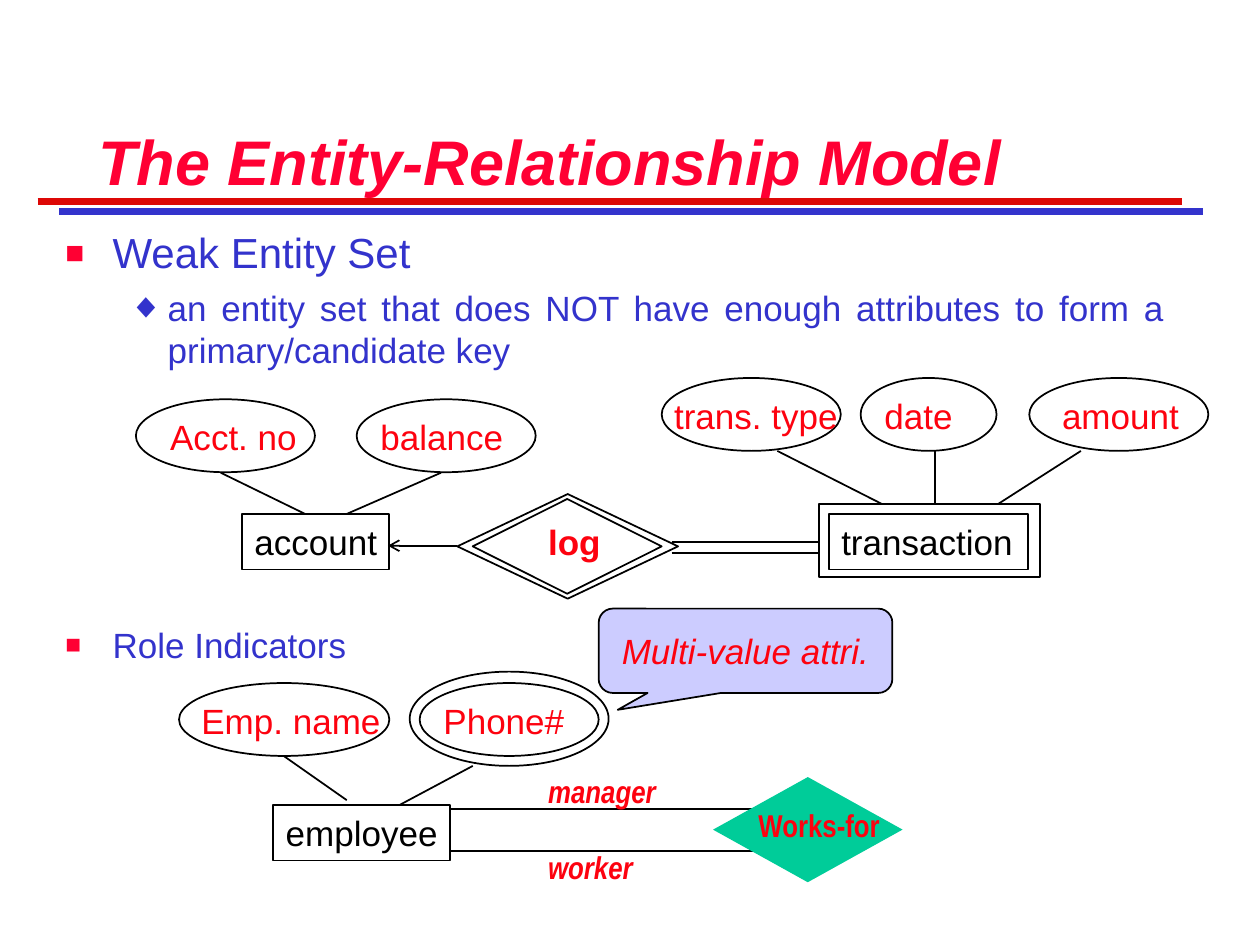
"""Build the slide on weak entity sets and role indicators."""
from dataclasses import dataclass

from lxml import etree
from pptx import Presentation
from pptx.dml.color import RGBColor
from pptx.enum.shapes import MSO_CONNECTOR, MSO_SHAPE
from pptx.enum.text import MSO_ANCHOR, PP_ALIGN
from pptx.oxml.ns import qn
from pptx.util import Cm, Pt

LINE = MSO_CONNECTOR.STRAIGHT
RECT, OVAL, DIAMOND = MSO_SHAPE.RECTANGLE, MSO_SHAPE.OVAL, MSO_SHAPE.DIAMOND
TRIANGLE = MSO_SHAPE.ISOSCELES_TRIANGLE
BUBBLE = MSO_SHAPE.ROUNDED_RECTANGULAR_CALLOUT
TOP, MIDDLE, BOTTOM = MSO_ANCHOR.TOP, MSO_ANCHOR.MIDDLE, MSO_ANCHOR.BOTTOM
LEFT, CENTER, JUSTIFY = PP_ALIGN.LEFT, PP_ALIGN.CENTER, PP_ALIGN.JUSTIFY


@dataclass(frozen=True)
class Theme:
    red: str = "FF0033"
    blue: str = "3333CC"
    rule: str = "DD0806"
    label: str = "FD020F"
    ink: str = "000000"
    green: str = "00CC99"
    pale: str = "CCCCFF"
    font: str = "Arial"
    narrow: str = "Arial Narrow"
    title: int = 36
    head: int = 24
    text: int = 20
    role: int = 18


T = Theme()
ROW, BOX = 1.47, 1.12

TITLE = "The Entity-Relationship Model"
RULES = [(0.76, 4.06, T.rule), (1.19, 4.27, T.blue)]
POINTS = [
    ("Weak Entity Set", T.head, 0, 0.95, 0.95, "■", T.red, 75),
    ("an entity set that does NOT have enough attributes to form a "
     "primary/candidate key", T.text, 5, 2.06, 0.79, "◆", T.blue, 100),
    ("Role Indicators", T.text, 145, 0.95, 0.95, "■", T.red, 75),
]
ENTITIES = [
    ("account", 4.88, 10.36, 2.97),
    ("transaction", 16.71, 10.36, 4.01),
    ("employee", 5.51, 16.23, 3.56),
]
ATTRS = [
    ("Acct. no", 2.74, 8.05, 3.61, 0.44),
    ("balance", 7.19, 8.05, 3.61, 0.23),
    ("trans. type", 13.34, 7.62, 3.61, 0),
    ("date", 17.35, 7.62, 2.74, 0.23),
    ("amount", 20.75, 7.62, 3.61, 0.41),
    ("Emp. name", 3.61, 13.77, 4.24, 0.2),
    ("Phone#", 8.46, 13.77, 3.61, 0.23),
]
OUTLINES = [
    (RECT, 16.51, 10.16, 4.45, ROW),
    (OVAL, 8.26, 13.54, 4.01, 1.9),
    (DIAMOND, 9.22, 9.96, 4.45, 2.11),
    (DIAMOND, 9.53, 10.06, 3.81, 1.91),
]
HALVES = [(14.27, 270), (16.18, 90)]
LINKS = [
    (4.45, 9.53, 6.15, 10.36),
    (6.99, 10.36, 8.89, 9.53),
    (15.67, 9.09, 17.78, 10.16),
    (18.85, 9.09, 18.85, 10.16),
    (20.12, 10.16, 21.79, 9.09),
    (13.54, 10.92, 16.51, 10.92),
    (13.54, 11.15, 16.51, 11.15),
    (5.72, 15.24, 6.99, 16.13),
    (8.05, 16.23, 9.53, 15.44),
    (9.09, 16.31, 15.24, 16.31),
    (9.09, 17.15, 15.67, 17.15),
]
ARROW = (9.22, 11, 7.82, 11)
NAMES = [
    ("log", 10.8, 10.36, 1.7, T.text, T.font, False),
    ("Works-for", 15.04, 16.13, 3.18, T.role, T.narrow, False),
    ("manager", 10.8, 15.44, 3.38, T.role, T.narrow, True),
    ("worker", 10.8, 16.97, 3.38, T.role, T.narrow, True),
]
NOTE = "Multi-value attri."


def rgb(code):
    return RGBColor.from_string(code)


def style(par, size, color, font=T.font, bold=False, italic=False):
    for run in par.runs:
        face = run.font
        face.name, face.size, face.color.rgb = font, Pt(size), rgb(color)
        face.bold, face.italic = bold, italic


def write(shape, words, size, color, align=LEFT, anchor=TOP, wrap=True, **look):
    frame = shape.text_frame
    frame.text = words
    frame.word_wrap, frame.vertical_anchor = wrap, anchor
    par = frame.paragraphs[0]
    par.alignment = align
    style(par, size, color, **look)


def link(slide, ends, color=T.ink, width=1):
    line = slide.shapes.add_connector(LINE, *map(Cm, ends))
    line.line.color.rgb, line.line.width = rgb(color), Pt(width)
    etree.SubElement(line._element.spPr, qn("a:effectLst"))
    return line


def draw(slide, kind, *area, fill=None, edge=T.ink):
    shape = slide.shapes.add_shape(kind, *map(Cm, area))
    shape.shadow.inherit = False
    if fill:
        shape.fill.solid()
        shape.fill.fore_color.rgb = rgb(fill)
    else:
        shape.fill.background()
    if edge:
        shape.line.color.rgb, shape.line.width = rgb(edge), Pt(1)
    else:
        shape.line.fill.background()
    return shape


def label(slide, words, left, top, width, size=T.text, **look):
    box = slide.shapes.add_textbox(Cm(left), Cm(top), Cm(width), Cm(BOX))
    write(box, words, size, T.label, **look)


def bullet(par, left, hang, mark, color, scale):
    props = par._p.get_or_add_pPr()
    props.set("marL", str(Cm(left)))
    props.set("indent", str(-Cm(hang)))
    tint = etree.SubElement(props, qn("a:buClr"))
    etree.SubElement(tint, qn("a:srgbClr"), val=color)
    etree.SubElement(props, qn("a:buSzPct"), val=str(scale * 1000))
    etree.SubElement(props, qn("a:buFont"), typeface=T.font)
    etree.SubElement(props, qn("a:buChar"), char=mark)


def outline(slide):
    title = slide.shapes.title
    title.left, title.top, title.width, title.height = map(
        Cm, (1.73, 0.46, 23.29, 3.66))
    write(title, TITLE, T.title, T.red, anchor=BOTTOM, bold=True, italic=True)
    body = slide.shapes.add_textbox(Cm(1.07), Cm(4.45), Cm(22.66), Cm(12.83))
    frame = body.text_frame
    frame.word_wrap = True
    frame.text = "\n".join(point[0] for point in POINTS)
    for par, (_, size, gap, *marks) in zip(frame.paragraphs, POINTS):
        par.alignment, par.space_before = JUSTIFY, Pt(gap)
        style(par, size, T.blue)
        bullet(par, *marks)


def diagram(slide):
    for ends in LINKS:
        link(slide, ends)
    arrow = link(slide, ARROW)
    etree.SubElement(arrow.line._get_or_add_ln(), qn("a:tailEnd"), type="arrow")
    for words, left, top, width in ENTITIES:
        box = draw(slide, RECT, left, top, width, BOX)
        write(box, words, T.text, T.ink, wrap=False)
    for words, left, top, width, shift in ATTRS:
        draw(slide, OVAL, left, top, width, ROW)
        label(slide, words, left + shift, top + 0.2, max(width, 3.9))
    for kind, *area in OUTLINES:
        draw(slide, kind, *area)
    for left, turn in HALVES:
        half = draw(slide, TRIANGLE, left, 15.77, 2.12, 1.91,
                    fill=T.green, edge=None)
        half.rotation = turn
    for words, left, top, width, size, font, slant in NAMES:
        label(slide, words, left, top, width, size,
              font=font, bold=True, italic=slant)
    note = draw(slide, BUBBLE, 12.07, 12.27, 5.92, 1.7, fill=T.pale)
    for spot, value in enumerate((-0.435, 0.7, 0.167)):
        note.adjustments[spot] = value
    write(note, NOTE, T.text, T.label, CENTER, MIDDLE, False, italic=True)


def main():
    deck = Presentation()
    deck.slide_width, deck.slide_height = Cm(25.4), Cm(19.05)
    slide = deck.slides.add_slide(deck.slide_layouts[5])
    for left, top, color in RULES:
        link(slide, (left, top, left + 23.06, top), color, 4)
    outline(slide)
    diagram(slide)
    deck.save("out.pptx")


if __name__ == "__main__":
    main()
